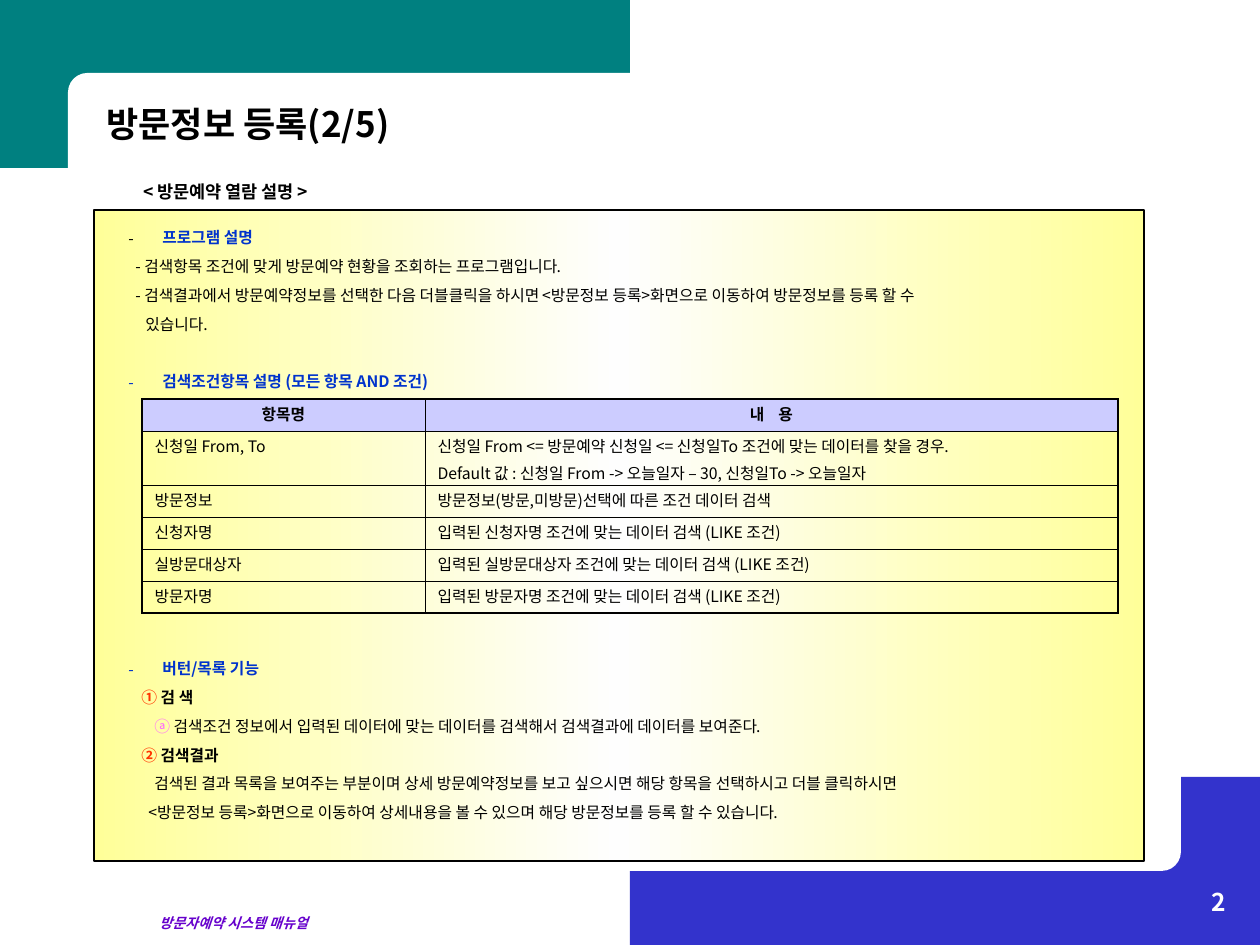
"""Build the visit registration manual slide."""
import copy
from dataclasses import dataclass

import lxml.etree
import pptx
import pptx.dml.color
import pptx.enum.shapes
import pptx.enum.text
import pptx.oxml.ns
import pptx.util

SCALE = 914400 // 126
FONT = "Noto Sans CJK KR"
BLACK, WHITE, BLUE, RED, PINK = "000000", "FFFFFF", "0033CC", "FF3300", "FF66FF"
LEFT = pptx.enum.text.PP_ALIGN.LEFT
MID = pptx.enum.text.PP_ALIGN.CENTER
RIGHT = pptx.enum.text.PP_ALIGN.RIGHT
RECT = pptx.enum.shapes.MSO_SHAPE.RECTANGLE
ROUND = pptx.enum.shapes.MSO_SHAPE.ROUNDED_RECTANGLE


@dataclass
class Run:
    text: str
    tint: str = BLACK
    bold: bool = False
    slant: bool = False
    size: int = 9
    track: int = 0


@dataclass
class Line:
    runs: list[Run]
    left: int = 0
    dash: str = ""
    align: int = LEFT
    gap: float = 5.6


@dataclass
class Block:
    box: tuple[int, int, int, int]
    lines: list[Line]
    wrap: bool = True


@dataclass
class Panel:
    kind: int
    box: tuple[int, int, int, int]
    tint: str


PANELS = [
    Panel(RECT, (630, 777, 630, 168), "3333CC"),
    Panel(RECT, (0, 0, 630, 168), "008080"),
    Panel(ROUND, (68, 73, 594, 116), WHITE),
    Panel(ROUND, (598, 756, 583, 115), WHITE),
]


def head(text: str) -> Line:
    """Return a dashed blue heading."""
    return Line([Run(text, BLUE, True)], 34, BLUE)


def plain(text: str, left: int) -> Line:
    """Return an indented line of plain text."""
    return Line([Run(text)], left)


def step(mark: str, text: str) -> Line:
    """Return a numbered bold line."""
    return Line([Run(mark + " ", RED, True), Run(text, bold=True)], 13)


INTRO = [
    head("프로그램 설명"),
    plain("- 검색항목 조건에 맞게 방문예약 현황을 조회하는 프로그램입니다.", 7),
    plain("- 검색결과에서 방문예약정보를 선택한 다음 더블클릭을 하시면 "
          "<방문정보 등록>화면으로 이동하여 방문정보를 등록 할 수", 7),
    plain("있습니다.", 17),
]
INTRO[0].dash = BLACK
USAGE = [
    head("버턴/목록 기능"),
    step("①", "검 색"),
    Line([Run("ⓐ ", PINK),
          Run("검색조건 정보에서 입력된 데이터에 맞는 데이터를 검색해서 검색결과에 데이터를 보여준다.")], 26),
    step("②", "검색결과"),
    plain("검색된 결과 목록을 보여주는 부분이며 상세 방문예약정보를 보고 싶으시면 "
          "해당 항목을 선택하시고 더블 클릭하시면", 26),
    plain("<방문정보 등록>화면으로 이동하여 상세내용을 볼 수 있으며 "
          "해당 방문정보를 등록 할 수 있습니다.", 20),
]
BLOCKS = [
    Block((147, 908, 284, 30),
          [Line([Run("방문자예약 시스템 매뉴얼", "6600CC", True, True, 8)])]),
    Block((116, 222, 1008, 130), INTRO),
    Block((116, 366, 1008, 32), [head("검색조건항목 설명 (모든 항목 AND 조건)")]),
    Block((116, 653, 1008, 190), USAGE),
    Block((131, 175, 198, 34),
          [Line([Run("< 방문예약 열람 설명 >", bold=True, size=10)])], False),
    Block((94, 96, 536, 56), [Line([Run("방문정보 등록(2/5)", bold=True, size=20)])]),
    Block((976, 881, 262, 60),
          [Line([Run("2", WHITE, True, size=14)], align=RIGHT)]),
]
WIDTHS = [283, 693]
HEIGHTS = [32, 54, 32, 32, 32, 32]
TITLES = [[Run("항목명", bold=True)],
          [Run("내", bold=True), Run(" ", bold=True, track=600), Run("용", bold=True)]]
ROWS = [
    ("신청일 From, To",
     "신청일 From <= 방문예약 신청일 <= 신청일To 조건에 맞는 데이터를 찾을 경우.",
     "Default 값 : 신청일 From -> 오늘일자 – 30, 신청일To -> 오늘일자"),
    ("방문정보", "방문정보(방문,미방문)선택에 따른 조건 데이터 검색"),
    *((name, f"입력된 {name} 조건에 맞는 데이터 검색 (LIKE 조건)")
      for name in ("신청자명", "실방문대상자", "방문자명")),
]


def px(num: int) -> int:
    """Turn pixels into EMU."""
    return num * SCALE


def hue(code: str) -> pptx.dml.color.RGBColor:
    """Return the colour of a hex string."""
    return pptx.dml.color.RGBColor.from_string(code)


def add(node, tag: str, **keys: str):
    """Append a child node with a prefixed tag."""
    return lxml.etree.SubElement(node, pptx.oxml.ns.qn(tag), keys)


def write(frame, lines: list[Line]) -> None:
    """Fill a text frame line by line and run by run."""
    for num, line in enumerate(lines):
        para = frame.add_paragraph() if num else frame.paragraphs[0]
        para.alignment = line.align
        para.line_spacing = pptx.util.Pt(1.2 * line.runs[0].size)
        para.space_before = pptx.util.Pt(line.gap if num else 0)
        props = para._p.get_or_add_pPr()
        props.set("marL", str(px(line.left)))
        props.set("indent", str(-px(line.left) if line.dash else 0))
        if line.dash:
            add(add(props, "a:buClr"), "a:srgbClr", val=line.dash)
            add(props, "a:buFont", typeface=FONT)
            add(props, "a:buChar", char="-")
        for item in line.runs:
            run = para.add_run()
            run.text = item.text
            font = run.font
            font.name, font.size = FONT, pptx.util.Pt(item.size)
            font.bold, font.italic = item.bold, item.slant
            font.color.rgb = hue(item.tint)
            add(font._element, "a:ea", typeface=FONT)
            if item.track:
                font._element.set("spc", str(item.track))


def draw_panel(slide, panel: Panel):
    """Draw a filled shape without an outline."""
    shape = slide.shapes.add_shape(panel.kind, *map(px, panel.box))
    shape.shadow.inherit = False
    shape.fill.solid()
    shape.fill.fore_color.rgb = hue(panel.tint)
    shape.line.fill.background()
    return shape


def draw_sheet(slide) -> None:
    """Draw the framed yellow sheet with its pale middle."""
    shape = draw_panel(slide, Panel(RECT, (94, 210, 1050, 651), WHITE))
    shape.line.color.rgb = hue(BLACK)
    shape.line.width = pptx.util.Pt(0.75)
    shape.fill.gradient()
    shape.fill.gradient_angle = 0
    first, last = shape.fill.gradient_stops
    first.color.rgb = last.color.rgb = hue("FFFF99")
    first.position, last.position = 0, 1
    stop = copy.deepcopy(first._gs)
    first._gs.addnext(stop)
    center = shape.fill.gradient_stops[1]
    center.position, center.color.rgb = 0.5, hue("FEFEFE")


def draw_block(slide, block: Block) -> None:
    """Draw a text box."""
    frame = slide.shapes.add_textbox(*map(px, block.box)).text_frame
    frame.word_wrap = block.wrap
    write(frame, block.lines)


def edge(cell, sides: dict[str, bool]) -> None:
    """Set the cell borders, thick where the side is on the rim."""
    props = cell._tc.get_or_add_tcPr()
    for side, rim in sides.items():
        line = add(props, f"a:ln{side}", w=str(pptx.util.Pt(1.08 if rim else 0.45)))
        add(add(line, "a:solidFill"), "a:srgbClr", val=BLACK)


def draw_table(slide) -> None:
    """Draw the table of search items."""
    box = map(px, (142, 399, sum(WIDTHS), sum(HEIGHTS)))
    table = slide.shapes.add_table(len(HEIGHTS), len(WIDTHS), *box).table
    table.first_row = table.horz_banding = False
    for col, width in zip(table.columns, WIDTHS):
        col.width = px(width)
    top = [[Line(runs, align=MID)] for runs in TITLES]
    body = [[[Line([Run(name)])], [Line([Run(text)], gap=4.6) for text in texts]]
            for name, *texts in ROWS]
    for y, (cells, height) in enumerate(zip([top, *body], HEIGHTS)):
        table.rows[y].height = px(height)
        for x, lines in enumerate(cells):
            cell = table.cell(y, x)
            cell.margin_top, cell.margin_bottom = px(7), 0
            edge(cell, {"L": x == 0, "R": x == len(WIDTHS) - 1,
                        "T": y == 0, "B": y == len(HEIGHTS) - 1})
            if y:
                cell.fill.background()
            else:
                cell.fill.solid()
                cell.fill.fore_color.rgb = hue("CCCCFF")
            write(cell.text_frame, lines)


def main() -> None:
    """Build and save the slide."""
    deck = pptx.Presentation()
    deck.slide_width, deck.slide_height = px(1260), px(945)
    slide = deck.slides.add_slide(deck.slide_layouts[6])
    for panel in PANELS:
        draw_panel(slide, panel)
    draw_sheet(slide)
    for block in BLOCKS:
        draw_block(slide, block)
    draw_table(slide)
    deck.save("out.pptx")


if __name__ == "__main__":
    main()
